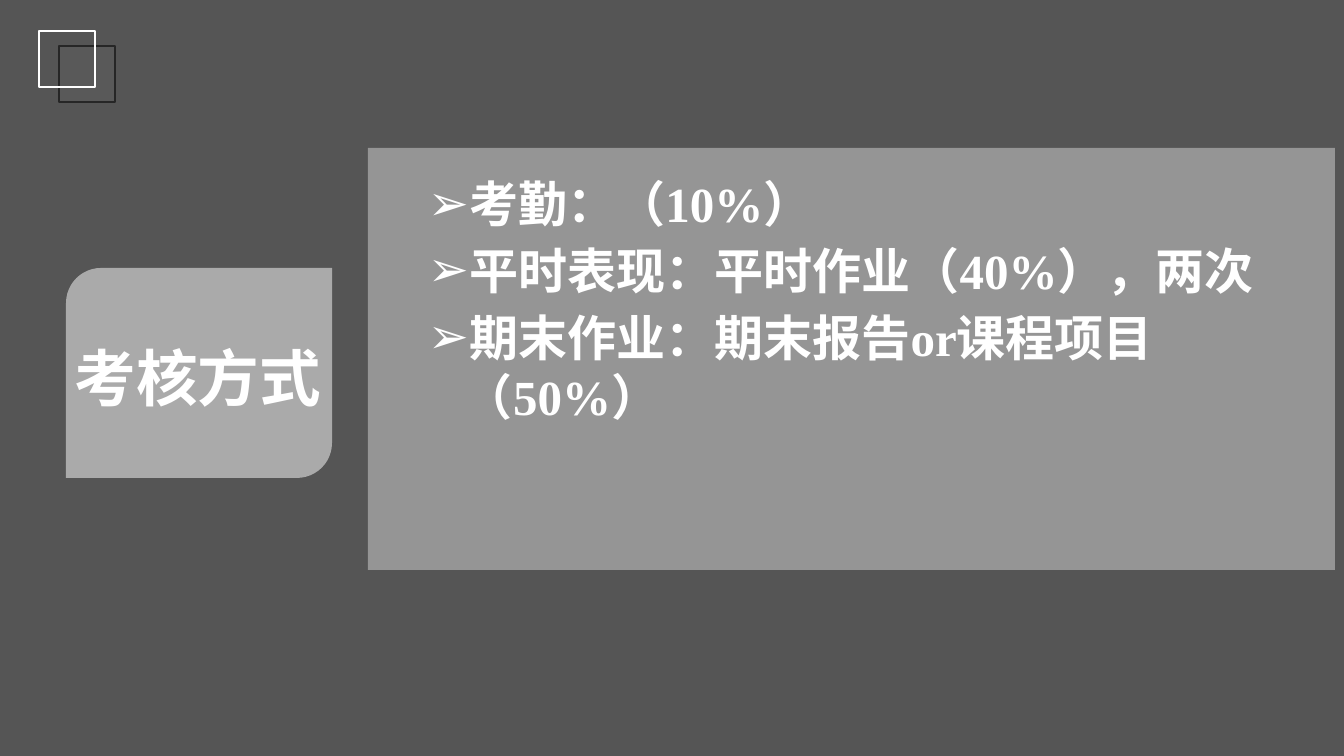
from lxml.etree import SubElement
from pptx import Presentation
from pptx.dml.color import RGBColor
from pptx.enum.shapes import MSO_SHAPE as SHAPE
from pptx.enum.text import MSO_ANCHOR as ANCHOR, MSO_AUTO_SIZE as AUTO_SIZE, PP_ALIGN as ALIGN
from pptx.oxml.ns import qn
from pptx.util import Emu, Pt

PX = 914400 / 100.8
WHITE = "FFFFFF"
CJK_FONT = "Noto Sans CJK SC"
LATIN_FONT = "Times New Roman"
CRITERIA = [
    "考勤：（10%）",
    "平时表现：平时作业（40%），两次",
    "期末作业：期末报告or课程项目（50%）",
]


def px(length):
    return Emu(round(length * PX))


def color(value):
    return RGBColor.from_string(value)


def add_block(slide, kind, box, fill=None, opacity=100, line=None):
    block = slide.shapes.add_shape(kind, *map(px, box))
    block.shadow.inherit = False
    if fill:
        block.fill.solid()
        block.fill.fore_color.rgb = color(fill)
        if opacity < 100:
            tint = block.element.spPr.find(qn("a:solidFill")).find(qn("a:srgbClr"))
            SubElement(tint, qn("a:alpha"), val=str(opacity * 1000))
    else:
        block.fill.background()
    if line:
        block.line.color.rgb = color(line)
        block.line.width = Pt(1)
    else:
        block.line.fill.background()


def add_run(paragraph, text, size, font):
    run = paragraph.add_run()
    run.text = text
    run.font.name = font
    run.font.size = Pt(size)
    run.font.bold = True
    run.font.color.rgb = color(WHITE)
    SubElement(run.font._element, qn("a:ea"), typeface=CJK_FONT)


def set_bullet(paragraph, char, indent, hanging):
    props = paragraph._p.get_or_add_pPr()
    props.set("marL", str(px(indent)))
    props.set("indent", str(-px(hanging)))
    SubElement(props, qn("a:buFont"), typeface="Arial")
    SubElement(props, qn("a:buChar"), char=char)


def place_title(slide, text, box):
    title = slide.shapes.title
    title.left, title.top, title.width, title.height = map(px, box)
    frame = title.text_frame
    frame.auto_size = AUTO_SIZE.NONE
    frame.word_wrap = False
    frame.vertical_anchor = ANCHOR.TOP
    frame.margin_left = frame.margin_right = 0
    heading = frame.paragraphs[0]
    heading.alignment = ALIGN.CENTER
    add_run(heading, text, 44, CJK_FONT)
    # Bring the title in front of its label
    slide.shapes.element.append(title.element)


def add_bullets(slide, items, box):
    frame = slide.shapes.add_textbox(*map(px, box)).text_frame
    frame.word_wrap = True
    frame.margin_left = px(14)
    for index, item in enumerate(items):
        paragraph = frame.add_paragraph() if index else frame.paragraphs[0]
        paragraph.level = 1
        set_bullet(paragraph, "➢", 82, 36)
        if index:
            paragraph.space_before = Pt(5.6)
        add_run(paragraph, item, 35, LATIN_FONT)


def main():
    deck = Presentation()
    deck.slide_width, deck.slide_height = px(1344), px(756)
    slide = deck.slides.add_slide(deck.slide_layouts[5])
    slide.background.fill.solid()
    slide.background.fill.fore_color.rgb = color("555555")

    add_block(slide, SHAPE.ROUND_2_DIAG_RECTANGLE, (66, 268, 266, 210), WHITE, 50)
    place_title(slide, "考核方式", (66, 335, 264, 48))
    add_block(slide, SHAPE.RECTANGLE, (59, 46, 56, 56), "595959", line="262626")
    add_block(slide, SHAPE.RECTANGLE, (39, 31, 56, 56), line=WHITE)
    add_block(slide, SHAPE.RECTANGLE, (368, 148, 967, 422), WHITE, 38)
    add_bullets(slide, CRITERIA, (368, 169, 967, 407))
    deck.save("out.pptx")


if __name__ == "__main__":
    main()
